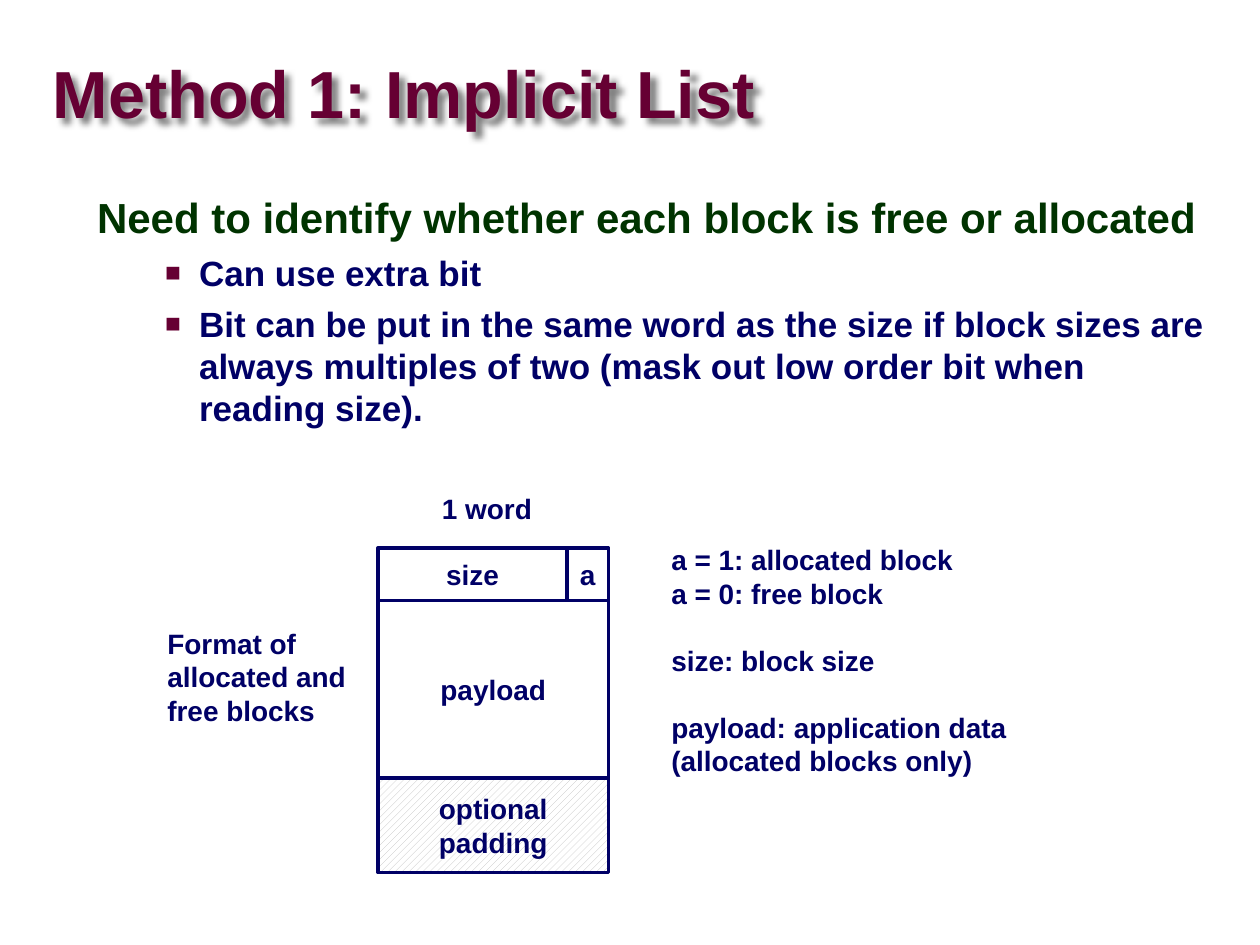
"""Build the slide on implicit free lists and the layout of a memory block."""
from dataclasses import dataclass

from lxml import etree
from pptx import Presentation
from pptx import util as u
from pptx.dml.color import RGBColor
from pptx.enum import dml, shapes, text
from pptx.oxml import ns

NAVY = RGBColor(0x00, 0x00, 0x66)
WINE = RGBColor(0x66, 0x00, 0x33)
GREEN = RGBColor(0x00, 0x33, 0x00)
GREY = RGBColor(0xC0, 0xC0, 0xC0)
SHADE = RGBColor(0x80, 0x80, 0x80)
WHITE = RGBColor(0xFF, 0xFF, 0xFF)

LEFT, TOP = 3, 4.35
WORD, SIZE = 1.83, 1.5
HEAD, LOAD, PAD = 0.415, 1.41, 0.75


@dataclass
class Cell:
    """A field of the memory block."""
    lines: list[str]
    x: float
    y: float
    w: float
    h: float
    hatch: bool = False


@dataclass
class Note:
    """Groups of lines, with a gap between groups."""
    groups: list[list[str]]
    x: float
    y: float
    w: float
    h: float


CELLS = [
    Cell(["size"], LEFT, TOP, SIZE, HEAD),
    Cell(["payload"], LEFT, TOP + HEAD, WORD, LOAD),
    Cell(["a"], LEFT + SIZE, TOP, WORD - SIZE, HEAD),
    Cell(["optional", "padding"], LEFT, TOP + HEAD + LOAD, WORD, PAD, True),
]
NOTES = [
    Note([["1 word"]], 3.41, 3.85, 0.93, 0.37),
    Note([["Format of", "allocated and", "free blocks"]], 1.23, 4.92, 1.62, 0.9),
    Note([["a = 1: allocated block", "a = 0: free block"],
          ["size: block size"],
          ["payload: application data", "(allocated blocks only)"]],
         5.23, 4.26, 2.87, 2.24),
]
POINTS = [
    "Can use extra bit",
    "Bit can be put in the same word as the size if block sizes are always "
    "multiples of two (mask out low order bit when reading size).",
]


def place(shape, x: float, y: float, w: float, h: float) -> None:
    """Move and size a shape, in inches."""
    shape.left, shape.top = u.Inches(x), u.Inches(y)
    shape.width, shape.height = u.Inches(w), u.Inches(h)


def style(para, size: float, color: RGBColor) -> None:
    """Set the bold face of a paragraph."""
    font = para.font
    font.name, font.size, font.bold = "Arial", u.Pt(size), True
    font.color.rgb = color


def add_tag(parent, tag: str, **attrs: str):
    """Append a DrawingML element."""
    return etree.SubElement(parent, ns.qn(f"a:{tag}"), attrs)


def indent(para, left: float, first: float):
    """Set the indents of a paragraph and return its properties."""
    props = para._p.get_or_add_pPr()
    props.set("marL", str(u.Inches(left)))
    props.set("indent", str(u.Inches(first)))
    return props


def fill_title(title) -> None:
    """Write the title with its soft shadow."""
    place(title, 0.42, 0.46, 7.21, 0.63)
    frame = title.text_frame
    frame.text = "Method 1: Implicit List"
    frame.auto_size = text.MSO_AUTO_SIZE.NONE
    frame.vertical_anchor = text.MSO_ANCHOR.MIDDLE
    frame.margin_left = frame.margin_right = 0
    frame.margin_top = frame.margin_bottom = 0
    para = frame.paragraphs[0]
    para.alignment, para.line_spacing = text.PP_ALIGN.LEFT, 0.87
    style(para, 38, WINE)
    effects = add_tag(title._element.spPr, "effectLst")
    shadow = add_tag(effects, "outerShdw", blurRad=str(u.Pt(4)),
                     dist=str(u.Pt(4)), dir="2700000")
    add_tag(shadow, "srgbClr", val=str(SHADE))


def fill_body(body) -> None:
    """Write the heading and its bullet points."""
    place(body, 0.67, 1.5, 9.03, 2.33)
    frame = body.text_frame
    frame.auto_size = text.MSO_AUTO_SIZE.NONE
    head = frame.paragraphs[0]
    head.text = "Need to identify whether each block is free or allocated"
    head.line_spacing, head.space_before = 0.95, u.Pt(0)
    add_tag(indent(head, 0.42, -0.42), "buNone")
    style(head, 24, GREEN)
    for point in POINTS:
        para = frame.add_paragraph()
        para.text, para.level, para.space_before = point, 1, u.Pt(5)
        props = indent(para, 0.81, -0.27)
        add_tag(add_tag(props, "buClr"), "srgbClr", val=str(WINE))
        add_tag(props, "buSzPct", val="75000")
        add_tag(props, "buFont", typeface="Arial")
        add_tag(props, "buChar", char="■")
        style(para, 20, NAVY)


def write(frame, groups: list[list[str]], align) -> None:
    """Write groups of lines, one paragraph a line."""
    frame.word_wrap = False
    frame.text = "\n".join(line for group in groups for line in group)
    for para in frame.paragraphs:
        para.alignment = align
        style(para, 16, NAVY)
    start = 0
    for group in groups[:-1]:
        start += len(group)
        frame.paragraphs[start].space_before = u.Pt(19)


def draw_cell(slide, cell: Cell) -> None:
    """Draw one field of the block."""
    box = slide.shapes.add_shape(shapes.MSO_SHAPE.RECTANGLE, 0, 0, 0, 0)
    place(box, cell.x, cell.y, cell.w, cell.h)
    box.shadow.inherit = False
    if cell.hatch:
        box.fill.patterned()
        box.fill.pattern = dml.MSO_PATTERN.WIDE_UPWARD_DIAGONAL
        box.fill.fore_color.rgb, box.fill.back_color.rgb = GREY, WHITE
    else:
        box.fill.solid()
        box.fill.fore_color.rgb = WHITE
    box.line.color.rgb, box.line.width = NAVY, u.Pt(2)
    box.text_frame.vertical_anchor = text.MSO_ANCHOR.MIDDLE
    write(box.text_frame, [cell.lines], text.PP_ALIGN.CENTER)


def draw_note(slide, note: Note) -> None:
    """Draw one label beside the block."""
    box = slide.shapes.add_textbox(0, 0, 0, 0)
    place(box, note.x, note.y, note.w, note.h)
    write(box.text_frame, note.groups, text.PP_ALIGN.LEFT)
    box.text_frame.auto_size = text.MSO_AUTO_SIZE.SHAPE_TO_FIT_TEXT


def main() -> None:
    """Build and save the slide."""
    deck = Presentation()
    deck.slide_width, deck.slide_height = u.Inches(10), u.Inches(7.5)
    slide = deck.slides.add_slide(deck.slide_layouts[1])
    fill_title(slide.shapes.title)
    fill_body(slide.placeholders[1])
    for cell in CELLS:
        draw_cell(slide, cell)
    for note in NOTES:
        draw_note(slide, note)
    deck.save("out.pptx")


if __name__ == "__main__":
    main()
